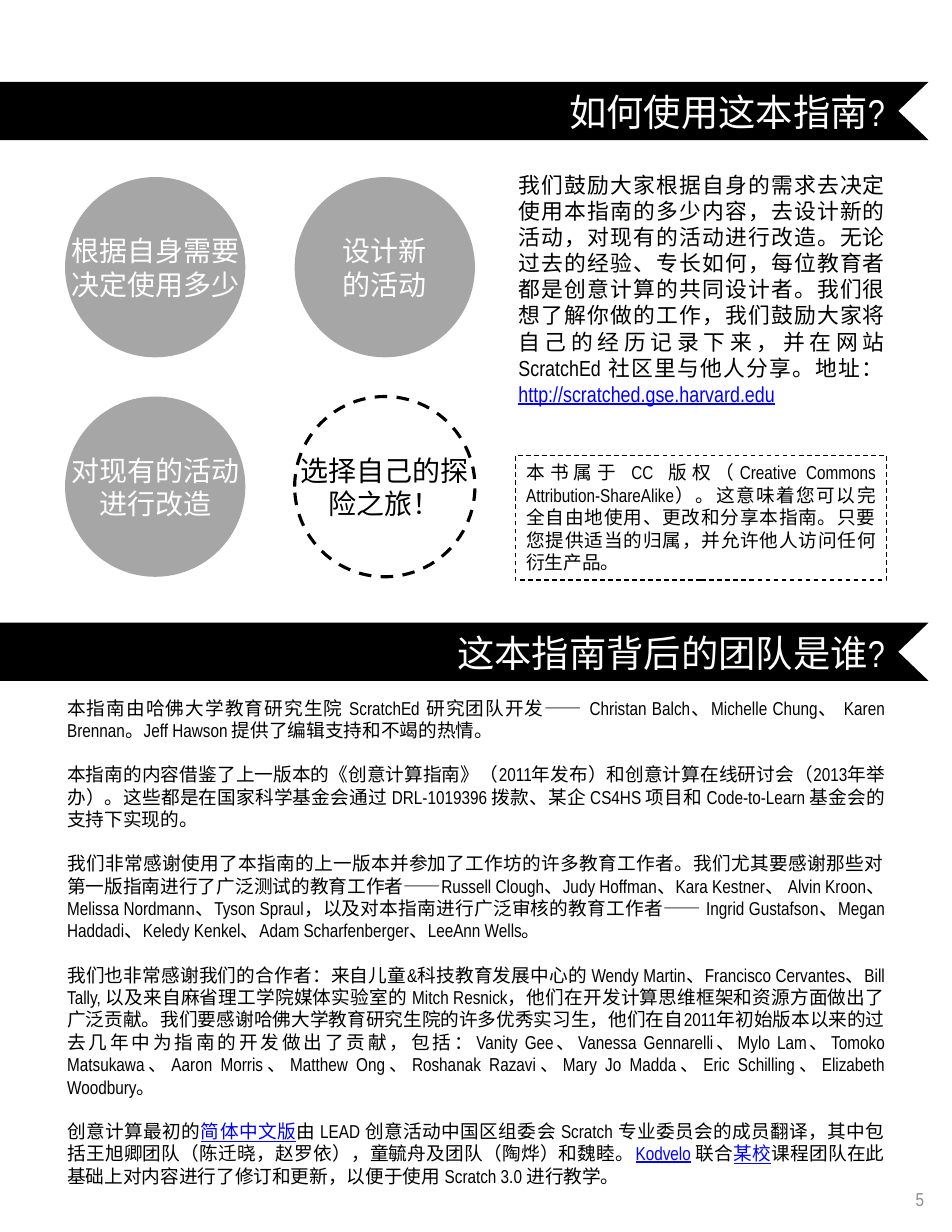
from lxml import etree
from pptx import Presentation
from pptx.dml.color import RGBColor
from pptx.enum import dml, shapes, text
from pptx.oxml import ns
from pptx.util import Pt

BLACK = RGBColor(0x00, 0x00, 0x00)
WHITE = RGBColor(0xFF, 0xFF, 0xFF)
GRAY = RGBColor(0xA6, 0xA6, 0xA6)
NUMBER_GRAY = RGBColor(0x8C, 0x8C, 0x8C)
LINK_BLUE = RGBColor(0x00, 0x00, 0xFF)
FONT = "Arial Narrow"
LEFT, CENTER, RIGHT, JUSTIFY = (
    text.PP_ALIGN.LEFT, text.PP_ALIGN.CENTER, text.PP_ALIGN.RIGHT, text.PP_ALIGN.JUSTIFY)
TOP, MIDDLE = text.MSO_ANCHOR.TOP, text.MSO_ANCHOR.MIDDLE


def place(box, left, top, width, height):
    box.left, box.top, box.width, box.height = Pt(left), Pt(top), Pt(width), Pt(height)


def write(box, paragraphs, size, color, align, anchor=TOP, gap=0):
    """Fill a box; each paragraph is a list of (wording, underlined) spans."""
    frame = box.text_frame
    frame.word_wrap = True
    frame.auto_size = text.MSO_AUTO_SIZE.NONE
    frame.vertical_anchor = anchor
    for index, spans in enumerate(paragraphs):
        para = frame.paragraphs[0] if index == 0 else frame.add_paragraph()
        para.alignment = align
        para.space_before = Pt(gap if index else 0)
        for wording, underlined in spans:
            if wording == "\n":
                para.add_line_break()
                continue
            span = para.add_run()
            span.text = wording
            span.font.name = FONT
            span.font.size = Pt(size)
            span.font.color.rgb = LINK_BLUE if underlined else color
            if underlined:
                span.font.underline = True


deck = Presentation()
deck.slide_width, deck.slide_height = Pt(612), Pt(792)
page = deck.slides.add_slide(deck.slide_layouts[1])
title, team = page.placeholders[0], page.placeholders[1]

# Team credits
place(team, 36, 444.2, 540, 326.9)
credits = [
    [("本指南由哈佛大学教育研究生院 ScratchEd 研究团队开发—— Christan Balch、Michelle Chung、 Karen Brennan。"
      "Jeff Hawson 提供了编辑支持和不竭的热情。", False)],
    [("本指南的内容借鉴了上一版本的《创意计算指南》（2011年发布）和创意计算在线研讨会（2013年举办）。"
      "这些都是在国家科学基金会通过 DRL-1019396 拨款、某企 CS4HS 项目和 Code-to-Learn 基金会的支持下实现的。", False)],
    [("我们非常感谢使用了本指南的上一版本并参加了工作坊的许多教育工作者。"
      "我们尤其要感谢那些对第一版指南进行了广泛测试的教育工作者——Russell Clough、Judy Hoffman、"
      "Kara Kestner、 Alvin Kroon、Melissa Nordmann、Tyson Spraul，"
      "以及对本指南进行广泛审核的教育工作者—— Ingrid Gustafson、Megan Haddadi、Keledy Kenkel、"
      "Adam Scharfenberger、LeeAnn Wells。", False)],
    [("我们也非常感谢我们的合作者：来自儿童&科技教育发展中心的 Wendy Martin、Francisco Cervantes、"
      "Bill Tally, 以及来自麻省理工学院媒体实验室的 Mitch Resnick，"
      "他们在开发计算思维框架和资源方面做出了广泛贡献。我们要感谢哈佛大学教育研究生院的许多优秀实习生，"
      "他们在自2011年初始版本以来的过去几年中为指南的开发做出了贡献，包括：Vanity Gee、"
      "Vanessa Gennarelli、Mylo Lam、Tomoko Matsukawa、Aaron Morris、Matthew Ong、Roshanak Razavi、"
      "Mary Jo Madda、Eric Schilling、Elizabeth Woodbury。", False)],
    [("创意计算最初的", False), ("简体中文版", True),
     ("由 LEAD 创意活动中国区组委会 Scratch 专业委员会的成员翻译，"
      "其中包括王旭卿团队（陈迁晓，赵罗依），童毓舟及团队（陶烨）和魏睦。", False),
     ("Kodvelo", True), (" 联合", False), ("某校", True),
     ("课程团队在此基础上对内容进行了修订和更新，以便于使用 Scratch 3.0 进行教学。", False)],
]
write(team, credits, 12, BLACK, JUSTIFY, gap=14)
for para in team.text_frame.paragraphs:
    properties = para._p.get_or_add_pPr()
    properties.set("marL", "0")
    properties.set("indent", "0")
    etree.SubElement(properties, ns.qn("a:buNone"))

# Four circles with their labels
labels = [
    ["根据自身需要决定使用多少"], ["设计新", "的活动"],
    ["对现有的活动进行改造"], ["选择自己的探险之旅！"],
]
for index, lines in enumerate(labels):
    row, column = divmod(index, 2)
    left, top = 41.8 + 147.6 * column, 113.8 + 141.1 * row
    circle = page.shapes.add_shape(
        shapes.MSO_SHAPE.OVAL, Pt(left), Pt(top), Pt(115.9), Pt(115.9))
    circle.shadow.inherit = False
    dashed = index == 3
    if dashed:
        circle.fill.background()
        circle.line.color.rgb = BLACK
        circle.line.width = Pt(2)
        circle.line.dash_style = dml.MSO_LINE.DASH
    else:
        circle.fill.solid()
        circle.fill.fore_color.rgb = GRAY
        circle.line.fill.background()
    label = page.shapes.add_textbox(Pt(left - 4), Pt(top + 32.4), Pt(123.9), Pt(51.1))
    write(label, [[(line, False)] for line in lines], 18,
          BLACK if dashed else WHITE, CENTER, MIDDLE)

# Introduction
intro = page.shapes.add_textbox(Pt(326.2), Pt(106.6), Pt(249.8), Pt(159.8))
write(intro, [[
    ("我们鼓励大家根据自身的需求去决定使用本指南的多少内容，去设计新的活动，对现有的活动进行改造。"
     "无论过去的经验、专长如何，每位教育者都是创意计算的共同设计者。我们很想了解你做的工作，"
     "我们鼓励大家将自己的经历记录下来，并在网站ScratchEd 社区里与他人分享。地址：", False),
    ("\n", False),
    ("http://scratched.gse.harvard.edu", True),
]], 14, BLACK, JUSTIFY)

# Licence note
licence = page.shapes.add_shape(
    shapes.MSO_SHAPE.RECTANGLE, Pt(331.2), Pt(293), Pt(239), Pt(79.9))
licence.shadow.inherit = False
licence.fill.background()
licence.line.color.rgb = BLACK
licence.line.width = Pt(0.75)
licence.line.dash_style = dml.MSO_LINE.DASH
write(licence, [[
    ("本书属于 CC 版权（Creative Commons Attribution-ShareAlike）。这意味着您可以完全自由地使用、"
     "更改和分享本指南。只要您提供适当的归属，并允许他人访问任何衍生产品。", False),
]], 12, BLACK, JUSTIFY)

# Section banners with a notched right end
team_heading = page.shapes.add_textbox(0, 0, Pt(100), Pt(36))
banners = [(52.6, title, "如何使用这本指南?"), (400.3, team_heading, "这本指南背后的团队是谁?")]
for top, heading, wording in banners:
    outline = page.shapes.build_freeform(0, Pt(top))
    outline.add_line_segments([
        (Pt(596.9), Pt(top)), (Pt(577.4), Pt(top + 18.7)),
        (Pt(596.9), Pt(top + 37.4)), (0, Pt(top + 37.4)),
    ])
    banner = outline.convert_to_shape()
    banner.shadow.inherit = False
    banner.fill.solid()
    banner.fill.fore_color.rgb = BLACK
    banner.line.fill.background()
    place(heading, 213.8, top + 1.4, 362.2, 36)
    write(heading, [[(wording, False)]], 24, WHITE, RIGHT, MIDDLE)
    banner._element.addnext(heading._element)

# Page number
number = page.shapes.add_textbox(Pt(306), Pt(749.5), Pt(295.2), Pt(42.5))
write(number, [[("5", False)]], 12, NUMBER_GRAY, RIGHT, MIDDLE)

deck.save("out.pptx")
